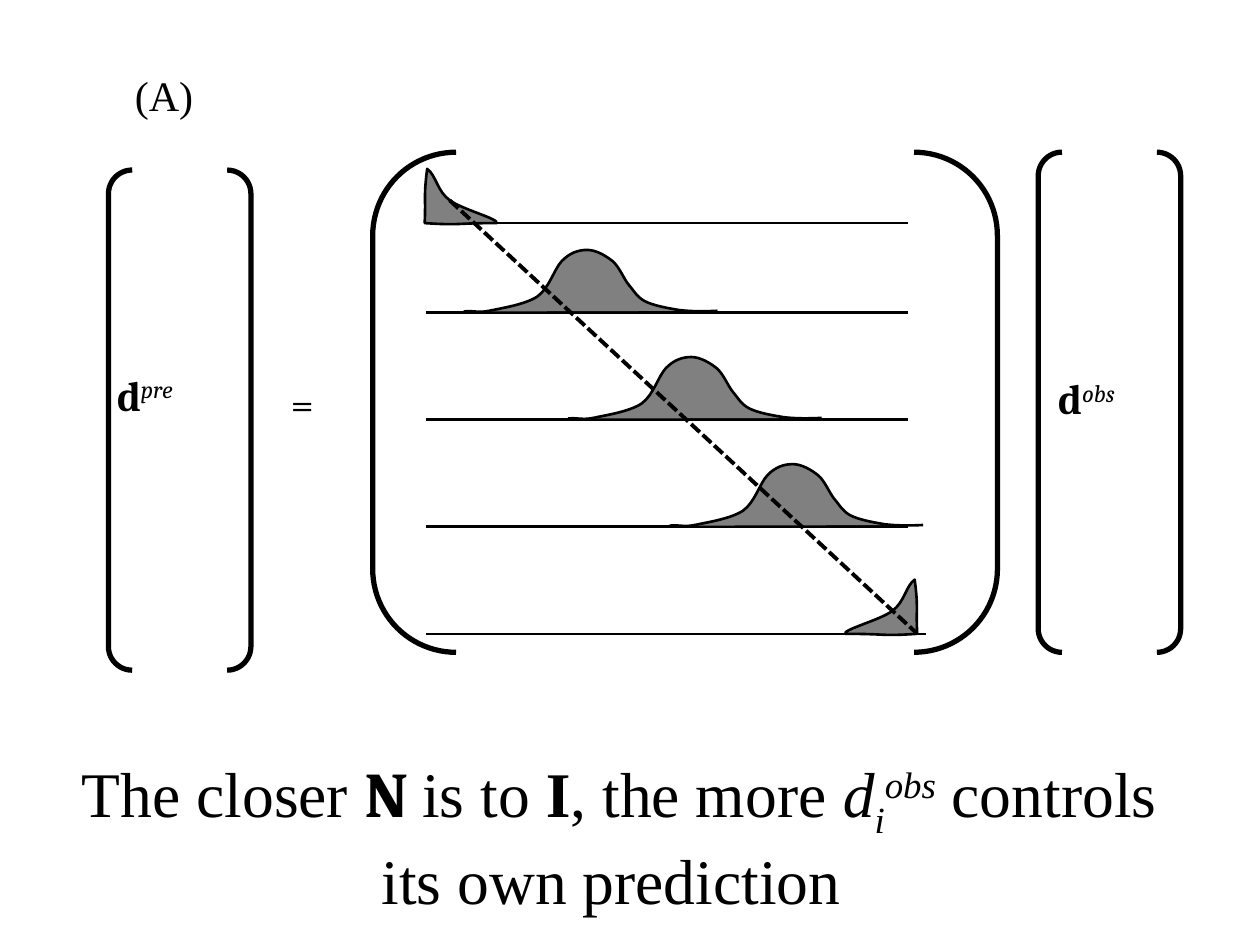
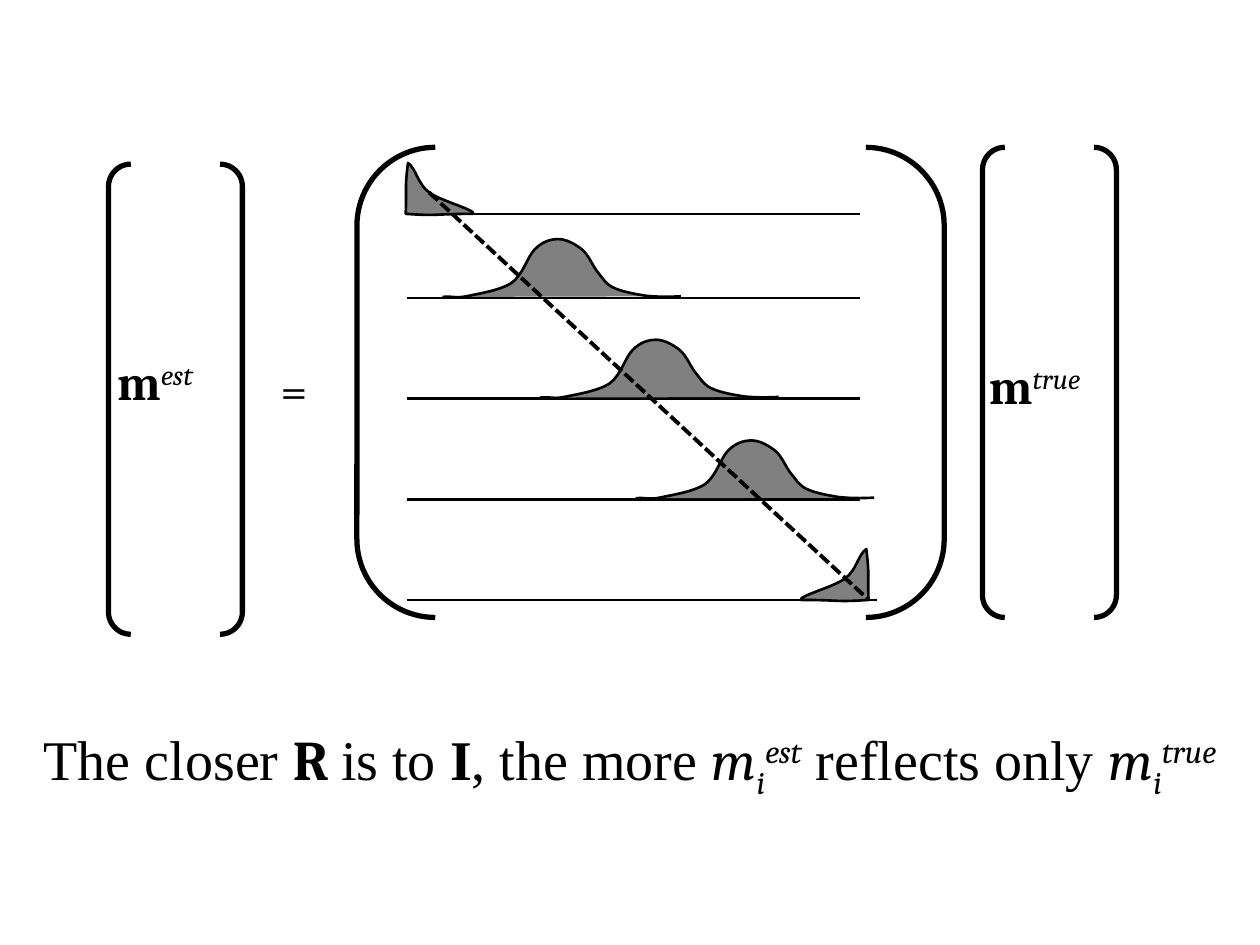
"""Two slides on resolution matrices: matrix diagram above, conclusion below."""
from dataclasses import dataclass

from lxml import etree
from pptx import Presentation
from pptx import util as u
from pptx.dml.color import RGBColor
from pptx.enum import dml, shapes, text
from pptx.oxml.ns import qn

HUES = {"ink": "000000", "hump": "808080"}
SERIF, ROMAN = "Cambria", "Times New Roman"
SUB, SUP = -25, 30

# Full-size diagram, in points
LEFT, TOP = 62, 87
ROWS = [127.5, 178.6, 239.8, 301, 362.2]
ROW_X, ROW_END, LAST_END = 243.4, 519, 529
HUMPS = [265, 324.5, 382.5]
CORNER = 523.4

# Bezier points: a start, then three for each segment
BELL = [(0, 0), (6, -.7), (8, 1), (15, -.5), (22, -2), (35, -4), (42, -8.5),
        (49, -13.5), (51.5, -24), (56, -28.8), (60.5, -33.5), (65.5, -35.2),
        (70.5, -35.2), (75.5, -35.2), (81, -32), (85, -28.8), (89, -25.5),
        (91.5, -18.5), (94.5, -15), (97.5, -11.5), (98.8, -8.5), (103.3, -6),
        (108, -3.5), (116, -2), (123.3, -.8), (130, 0), (137.5, 0),
        (145, -.4)]
WEDGE = [(.7, -31), (5.8, -27.4), (6.5, -18), (13.7, -13), (20.2, -8),
         (42.5, -2.2), (40.3, 0), (15.8, 0), (20.2, 1.4), (-.7, 0),
         (0, -15.8), (-1.4, -14.4), (.7, -31)]


@dataclass
class Span:
    """A stretch of text in one style."""
    text: str
    font: str = ROMAN
    bold: bool = False
    slant: bool = False
    base: int = 0


@dataclass
class Box:
    """A rectangle in points."""
    x: float
    y: float
    w: float
    h: float


@dataclass
class Page:
    """What differs from slide to slide."""
    zoom: float
    top: float
    size: float
    name: str
    left: str
    right: str
    right_x: float
    title: list[Span]
    title_box: Box
    title_size: float


PAGES = [
    Page(1, 87, 24, "d", "pre", "obs", 597.6,
         [Span("The closer "), Span("N ", SERIF, True), Span("is to "),
          Span("I", bold=True), Span(", the more "), Span("d", slant=True),
          Span("i", slant=True, base=SUB), Span("obs", slant=True, base=SUP),
          Span(" controls its own prediction ")],
         Box(36, 431, 635.8, 97), 36.3),
    Page(.94, 84.2, 28, "m", "est", "true", 558,
         [Span("The closer "), Span("R ", SERIF, True), Span("is to "),
          Span("I", bold=True), Span(", the more "),
          Span("m", SERIF, slant=True), Span("i", SERIF, slant=True, base=SUB),
          Span("est", SERIF, slant=True, base=SUP), Span(" reflects only "),
          Span("m", SERIF, slant=True), Span("i", SERIF, slant=True, base=SUB),
          Span("true", SERIF, slant=True, base=SUP)],
         Box(0, 414, 720, 46), 32),
]


def hue(key: str) -> RGBColor:
    """Look up a colour."""
    return RGBColor.from_string(HUES[key])


def write(frame, spans: list[Span], size: float) -> None:
    """Fill a text frame with one paragraph of styled runs."""
    para = frame.paragraphs[0]
    for span in spans:
        run = para.add_run()
        run.text = span.text
        font = run.font
        font.name, font.size = span.font, u.Pt(size)
        font.bold, font.italic = span.bold, span.slant
        font.color.rgb = hue("ink")
        if span.base:
            run._r.get_or_add_rPr().set("baseline", str(span.base * 1000))


def label(slide, box: Box, spans: list[Span], size: float) -> None:
    """Add a text box."""
    item = slide.shapes.add_textbox(*map(u.Pt, (box.x, box.y, box.w, box.h)))
    item.text_frame.word_wrap = True
    write(item.text_frame, spans, size)


def stroke(shape, width: float) -> None:
    """Give a shape a plain black line."""
    shape.line.color.rgb = hue("ink")
    shape.line.width = u.Pt(width)


class Sketch:
    """Draws full-size coordinates at the zoom of a page."""

    def __init__(self, slide, page: Page) -> None:
        """Keep the slide and its page."""
        self.slide, self.page = slide, page

    def spot(self, x: float, y: float) -> tuple[int, int]:
        """Map a full-size point to the slide."""
        zoom = self.page.zoom
        return (u.Pt(LEFT + (x - LEFT) * zoom),
                u.Pt(self.page.top + (y - TOP) * zoom))

    def place(self, x: float, y: float, w: float, h: float) -> Box:
        """Map a full-size rectangle to the slide."""
        left, top = self.spot(x, y)
        zoom = self.page.zoom
        return Box(u.Emu(left).pt, u.Emu(top).pt, w * zoom, h * zoom)

    def pair(self, x: float, y: float, w: float) -> None:
        """Draw a pair of round brackets."""
        box = self.place(x, y, w, 285.8)
        item = self.slide.shapes.add_shape(
            shapes.MSO_SHAPE.DOUBLE_BRACKET,
            *map(u.Pt, (box.x, box.y, box.w, box.h)))
        item.shadow.inherit = False
        item.fill.background()
        stroke(item, 3)

    def rule(self, start: tuple, end: tuple, width: float = 1.5):
        """Draw a straight line."""
        item = self.slide.shapes.add_connector(
            shapes.MSO_CONNECTOR.STRAIGHT, *self.spot(*start), *self.spot(*end))
        stroke(item, width)
        etree.SubElement(item._element.spPr, qn("a:effectLst"))
        return item

    def curve(self, pts: list, x: float, y: float, flip: int = 1,
              close: bool = False) -> None:
        """Draw a grey outline of Bezier segments."""
        ends = [self.spot(x + flip * dx, y + dy) for dx, dy in pts]
        pen = self.slide.shapes.build_freeform(*ends[0])
        pen.add_line_segments(ends[1:], close=close)
        item = pen.convert_to_shape()
        steps = list(item._element.iter(qn("a:lnTo")))
        for i in range(0, len(steps), 3):
            bend = etree.Element(qn("a:cubicBezTo"))
            steps[i].addprevious(bend)
            for step in steps[i:i + 3]:
                bend.append(step[0])
                step.getparent().remove(step)
        item.shadow.inherit = False
        item.fill.solid()
        item.fill.fore_color.rgb = hue("hump")
        stroke(item, 1.5)

    def matrix(self) -> None:
        """Draw the brackets, the rows with their humps and the diagonal."""
        self.pair(213, 87, 357)
        self.pair(593.3, 87, 81.4)
        self.pair(LEFT, 97.2, 81.4)
        for row in ROWS:
            end = LAST_END if row == ROWS[-1] else ROW_END
            self.rule((ROW_X, row), (end, row))
        for x, row in zip(HUMPS, ROWS[1:-1]):
            self.curve(BELL, x, row - .6)
        self.curve(WEDGE, ROW_X, ROWS[0], close=True)
        self.curve(WEDGE, CORNER, ROWS[-1], -1, close=True)
        line = self.rule((257, 114.5), (524, 362), 2.25)
        line.line.dash_style = dml.MSO_LINE.SQUARE_DOT

    def names(self) -> None:
        """Write the vector names and the equals sign."""
        page = self.page
        left = self.place(59.8, 207.4, 84.2, 36)
        right = self.place(597.6, 209.5, 90, 36)
        right.x = page.right_x
        for box, power in ((left, page.left), (right, page.right)):
            label(self.slide, box,
                  [Span(page.name, SERIF, True),
                   Span(power, SERIF, slant=True, base=SUP)], page.size)
        label(self.slide, self.place(159, 212.4, 84.2, 36),
              [Span("=", SERIF)], page.size)


def head(slide, page: Page) -> None:
    """Set the conclusion in the title placeholder."""
    item, box = slide.shapes.title, page.title_box
    item.left, item.top = u.Pt(box.x), u.Pt(box.y)
    item.width, item.height = u.Pt(box.w), u.Pt(box.h)
    frame = item.text_frame
    frame.word_wrap = True
    frame.auto_size = text.MSO_AUTO_SIZE.NONE
    frame.vertical_anchor = text.MSO_ANCHOR.TOP
    frame.margin_top = frame.margin_bottom = 0
    frame.paragraphs[0].alignment = text.PP_ALIGN.CENTER
    write(frame, page.title, page.title_size)


def main() -> None:
    """Build and save the deck."""
    deck = Presentation()
    deck.slide_width, deck.slide_height = u.Pt(720), u.Pt(540)
    for page in PAGES:
        slide = deck.slides.add_slide(deck.slide_layouts[5])
        sketch = Sketch(slide, page)
        sketch.matrix()
        sketch.names()
        head(slide, page)
    label(deck.slides[0], Box(70, 36, 91.4, 36.7), [Span("(A)")], 24)
    deck.save("out.pptx")


main()
